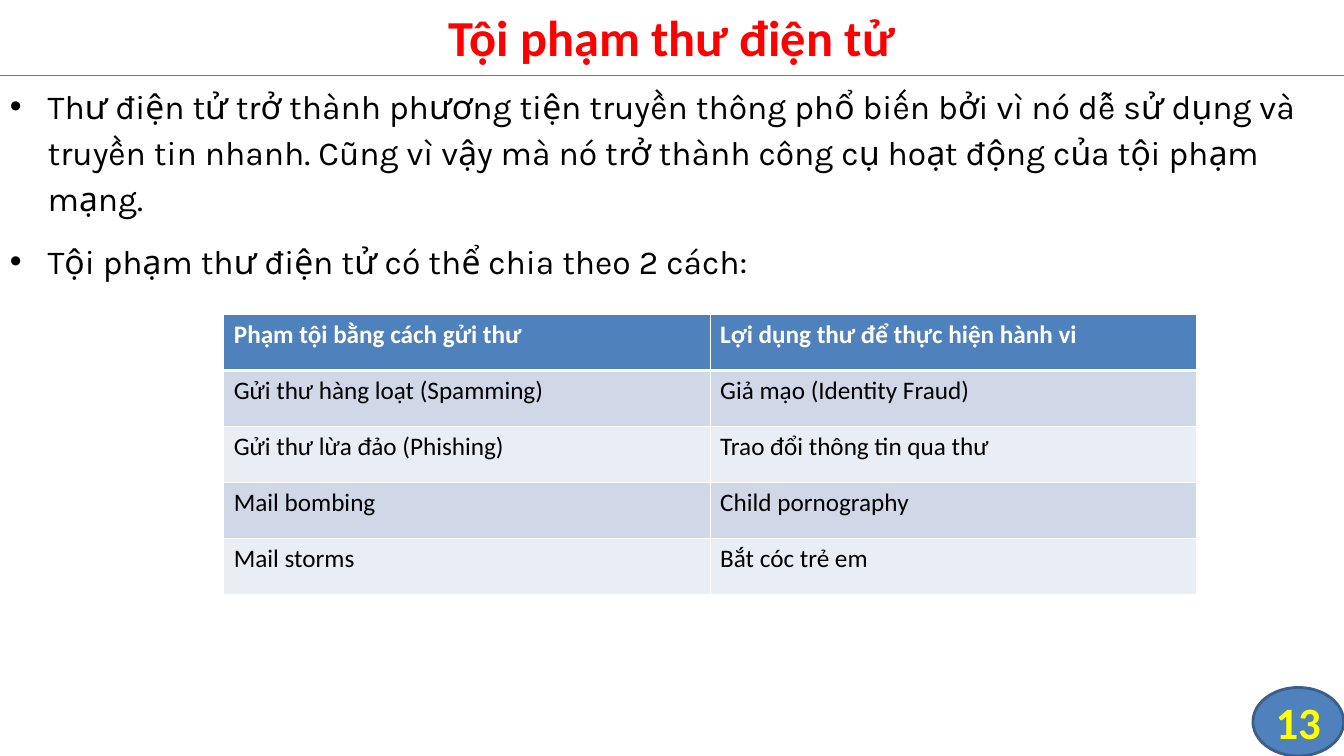
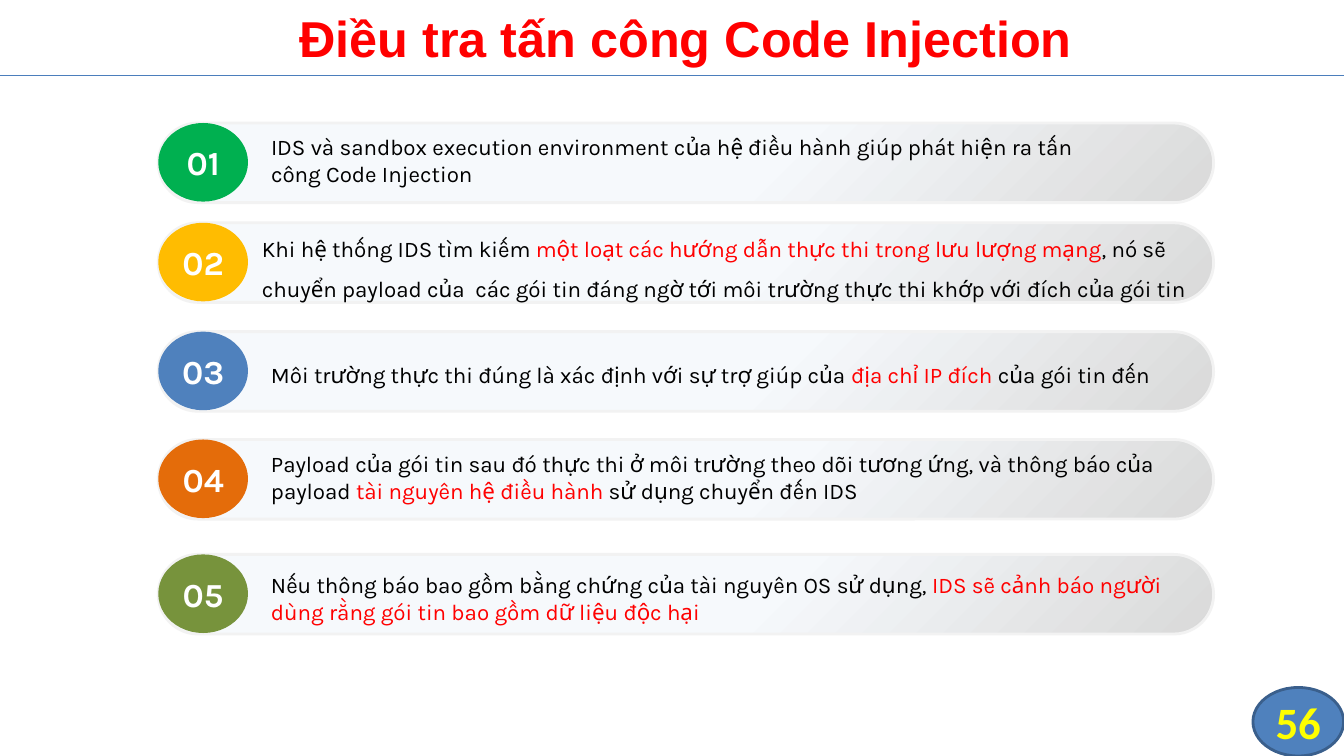
from dataclasses import dataclass
from typing import NamedTuple

from lxml import etree
from pptx import Presentation
from pptx.dml.color import RGBColor
from pptx.enum.shapes import MSO_CONNECTOR, MSO_SHAPE
from pptx.enum.text import MSO_ANCHOR, PP_ALIGN
from pptx.oxml.ns import qn
from pptx.shapes.autoshape import Shape
from pptx.slide import Slide
from pptx.table import _Cell
from pptx.text.text import TextFrame, _Paragraph
from pptx.util import Inches, Length, Pt

CENTER, LEFT = PP_ALIGN.CENTER, PP_ALIGN.LEFT
MIDDLE, TOP = MSO_ANCHOR.MIDDLE, MSO_ANCHOR.TOP
DISC, PILL = MSO_SHAPE.FLOWCHART_CONNECTOR, MSO_SHAPE.ROUNDED_RECTANGLE
STRAIGHT = MSO_CONNECTOR.STRAIGHT

BLACK = RGBColor(0x00, 0x00, 0x00)
WHITE = RGBColor(0xFF, 0xFF, 0xFF)
RED = RGBColor(0xFF, 0x00, 0x00)
YELLOW = RGBColor(0xFF, 0xFF, 0x00)
BLUE = RGBColor(0x4F, 0x81, 0xBD)
BADGE_EDGE = RGBColor(0x3A, 0x5F, 0x8C)
RULE_BLUE = RGBColor(0x4B, 0x7E, 0xBC)
BAND_DARK = RGBColor(0xD0, 0xD8, 0xE8)
BAND_LIGHT = RGBColor(0xE9, 0xED, 0xF4)
PILL_LIGHT = RGBColor(0xF6, 0xF9, 0xFC)
PILL_GRAY = RGBColor(0xD9, 0xD9, 0xD9)
PILL_EDGE = RGBColor(0xF2, 0xF2, 0xF2)
GREEN = RGBColor(0x00, 0xB0, 0x50)
AMBER = RGBColor(0xFF, 0xBC, 0x01)
ORANGE = RGBColor(0xE4, 0x6C, 0x0A)
OLIVE = RGBColor(0x77, 0x93, 0x3C)

# The slide is a grid of square cells, ten to the inch.
COLUMNS, ROWS = 133.33, 75
RULE_ROW = 7.5


def cells(count: float) -> Length:
    return Inches(count / 10)


class Box(NamedTuple):
    """Left, top, width and height in grid cells."""

    left: float
    top: float
    width: float
    height: float

    def lengths(self) -> list[Length]:
        return [cells(value) for value in self]


class TextStyle(NamedTuple):
    font: str
    size: float
    color: RGBColor
    bold: bool = False
    align: PP_ALIGN = LEFT
    spacing: float = 1.0


TITLE = TextStyle("Calibri", 36, RED, True, CENTER)
ARIAL_TITLE = TITLE._replace(font="Arial")
BADGE = TextStyle("Calibri", 32, YELLOW, True, CENTER)
BODY = TextStyle("Karla", 24, BLACK, spacing=1.14)
TABLE_HEAD = TextStyle("Calibri", 18, WHITE, True)
TABLE_BODY = TextStyle("Calibri", 18, BLACK)
NUMBER = TextStyle("Karla", 24, WHITE, True, CENTER)
STEP_TEXT = TextStyle("Karla", 16, BLACK)
OPEN_STEP_TEXT = STEP_TEXT._replace(spacing=1.5)


@dataclass(frozen=True)
class Step:
    """A numbered pill; parts of its text between bars are highlighted."""

    top: float
    color: RGBColor
    text: str
    text_box: Box
    style: TextStyle = STEP_TEXT


BULLETS = (
    "Thư điện tử trở thành phương tiện truyền thông phổ biến bởi vì nó dễ sử dụng và "
    "truyền tin nhanh. Cũng vì vậy mà nó trở thành công cụ hoạt động của tội phạm mạng.",
    "Tội phạm thư điện tử có thể chia theo 2 cách:",
)

CRIMES = (
    ("Phạm tội bằng cách gửi thư", "Lợi dụng thư để thực hiện hành vi"),
    ("Gửi thư hàng loạt (Spamming)", "Giả mạo (Identity Fraud)"),
    ("Gửi thư lừa đảo (Phishing)", "Trao đổi thông tin qua thư"),
    ("Mail bombing", "Child pornography"),
    ("Mail storms", "Bắt cóc trẻ em"),
)

STEPS = (
    Step(12.2, GREEN,
         "IDS và sandbox execution environment của hệ điều hành giúp phát hiện ra tấn "
         "công Code Injection",
         Box(25.9, 12.7, 83.1, 9.4)),
    Step(22.1, AMBER,
         "Khi hệ thống IDS tìm kiếm |một loạt các hướng dẫn thực thi trong lưu lượng mạng|"
         ", nó sẽ chuyển payload của  các gói tin đáng ngờ tới môi trường thực thi khớp "
         "với đích của gói tin",
         Box(25, 21.5, 96.3, 8.5), OPEN_STEP_TEXT),
    Step(32.9, BLUE,
         "Môi trường thực thi đúng là xác định với sự trợ giúp của |địa chỉ IP đích |"
         "của gói tin đến",
         Box(25.9, 34, 94.4, 4.5), OPEN_STEP_TEXT),
    Step(43.6, ORANGE,
         "Payload của gói tin sau đó thực thi ở môi trường theo dõi tương ứng, và thông "
         "báo của payload |tài nguyên hệ điều hành| sử dụng chuyển đến IDS",
         Box(25.9, 44.2, 91.6, 9.4)),
    Step(55, OLIVE,
         "Nếu thông báo bao gồm bằng chứng của tài nguyên OS sử dụng, |IDS sẽ cảnh báo "
         "người dùng rằng gói tin bao gồm dữ liệu độc hại|",
         Box(25.9, 56.2, 91.6, 9.4)),
)


def write(paragraph: _Paragraph, text: str, style: TextStyle) -> None:
    """Fill a paragraph, turning the parts between bars red."""
    paragraph.alignment = style.align
    paragraph.line_spacing = style.spacing
    font = paragraph.font
    font.name, font.size, font.bold = style.font, Pt(style.size), style.bold
    font.color.rgb = style.color
    for index, part in enumerate(text.split("|")):
        if part:
            run = paragraph.add_run()
            run.text = part
            if index % 2:
                run.font.color.rgb = RED


def add_text(slide: Slide, box: Box, text: str, style: TextStyle,
             anchor: MSO_ANCHOR = TOP) -> None:
    frame = slide.shapes.add_textbox(*box.lengths()).text_frame
    frame.word_wrap = True
    frame.vertical_anchor = anchor
    write(frame.paragraphs[0], text, style)


def center_label(frame: TextFrame, text: str, style: TextStyle) -> None:
    frame.margin_left = frame.margin_right = 0
    frame.margin_top = frame.margin_bottom = 0
    frame.vertical_anchor = MIDDLE
    write(frame.paragraphs[0], text, style)


def add_disc(slide: Slide, box: Box, color: RGBColor, text: str, style: TextStyle) -> Shape:
    disc = slide.shapes.add_shape(DISC, *box.lengths())
    disc.shadow.inherit = False
    disc.fill.solid()
    disc.fill.fore_color.rgb = color
    disc.line.fill.background()
    center_label(disc.text_frame, text, style)
    return disc


def add_frame(slide: Slide, page: int) -> None:
    """Draw the rule under the title and the page badge."""
    rule = slide.shapes.add_connector(
        STRAIGHT, 0, cells(RULE_ROW), cells(COLUMNS), cells(RULE_ROW))
    rule.line.color.rgb = RULE_BLUE
    rule.line.width = Pt(0.75)
    etree.SubElement(rule._element.spPr, qn("a:effectLst"))
    badge = add_disc(slide, Box(124.3, 68.2, 9, 6.8), BLUE, str(page), BADGE)
    badge.line.color.rgb = BADGE_EDGE
    badge.line.width = Pt(2)


def add_bullets(slide: Slide, box: Box, items: tuple[str, ...]) -> None:
    frame = slide.shapes.add_textbox(*box.lengths()).text_frame
    frame.word_wrap = True
    for index, item in enumerate(items):
        paragraph = frame.add_paragraph() if index else frame.paragraphs[0]
        properties = paragraph._p.get_or_add_pPr()
        properties.set("marL", str(cells(3.75)))
        properties.set("indent", str(-cells(3.75)))
        etree.SubElement(properties, qn("a:buFont"), typeface="Arial")
        etree.SubElement(properties, qn("a:buChar"), char="•")
        paragraph.space_before = Pt(6 if index else 0)
        paragraph.space_after = Pt(6)
        write(paragraph, item, BODY)


def set_borders(cell: _Cell, top: float, bottom: float) -> None:
    """Give a cell white borders; widths are in points."""
    properties = cell._tc.get_or_add_tcPr()
    for side, width in (("L", 1), ("R", 1), ("T", top), ("B", bottom)):
        line = etree.SubElement(properties, qn(f"a:ln{side}"), w=str(Pt(width)))
        fill = etree.SubElement(line, qn("a:solidFill"))
        etree.SubElement(fill, qn("a:srgbClr"), val=str(WHITE))


def add_crime_table(slide: Slide, box: Box) -> None:
    table = slide.shapes.add_table(len(CRIMES), len(CRIMES[0]), *box.lengths()).table
    for row, texts in enumerate(CRIMES):
        for column, text in enumerate(texts):
            cell = table.cell(row, column)
            set_borders(cell, top=3 if row == 1 else 1, bottom=3 if row == 0 else 1)
            cell.fill.solid()
            band = BAND_DARK if row % 2 else BAND_LIGHT
            cell.fill.fore_color.rgb = band if row else BLUE
            write(cell.text_frame.paragraphs[0], text, TABLE_BODY if row else TABLE_HEAD)


def add_pill(slide: Slide, box: Box) -> None:
    pill = slide.shapes.add_shape(PILL, *box.lengths())
    pill.adjustments[0] = 0.5
    pill.shadow.inherit = False
    pill.fill.gradient()
    pill.fill.gradient_angle = 315
    for stop, position, color in zip(
            pill.fill.gradient_stops, (0.57, 1), (PILL_LIGHT, PILL_GRAY)):
        stop.position = position
        stop.color.rgb = color
    pill.line.color.rgb = PILL_EDGE
    pill.line.width = Pt(2)


def add_step(slide: Slide, number: int, step: Step) -> None:
    add_pill(slide, Box(15.7, step.top, 104.7, 7.9))
    add_disc(slide, Box(15.7, step.top, 8.9, 7.8), step.color, f"{number:02}", NUMBER)
    add_text(slide, step.text_box, step.text, step.style)


def build_email_crime(slide: Slide) -> None:
    add_frame(slide, 13)
    add_text(slide, Box(0, -0.3, COLUMNS, 7.8), "Tội phạm thư điện tử", TITLE, MIDDLE)
    add_bullets(slide, Box(0, RULE_ROW, COLUMNS, ROWS - RULE_ROW), BULLETS)
    add_crime_table(slide, Box(22.2, 31.2, 96.5, 27.8))


def build_code_injection(slide: Slide) -> None:
    add_frame(slide, 56)
    add_text(slide, Box(4.7, 0.2, 126.7, 7.1), "Điều tra tấn công Code Injection", ARIAL_TITLE)
    for number, step in enumerate(STEPS, start=1):
        add_step(slide, number, step)


def main() -> None:
    presentation = Presentation()
    presentation.slide_width, presentation.slide_height = cells(COLUMNS), cells(ROWS)
    blank = presentation.slide_layouts[6]
    for build in (build_email_crime, build_code_injection):
        build(presentation.slides.add_slide(blank))
    presentation.save("out.pptx")


if __name__ == "__main__":
    main()
